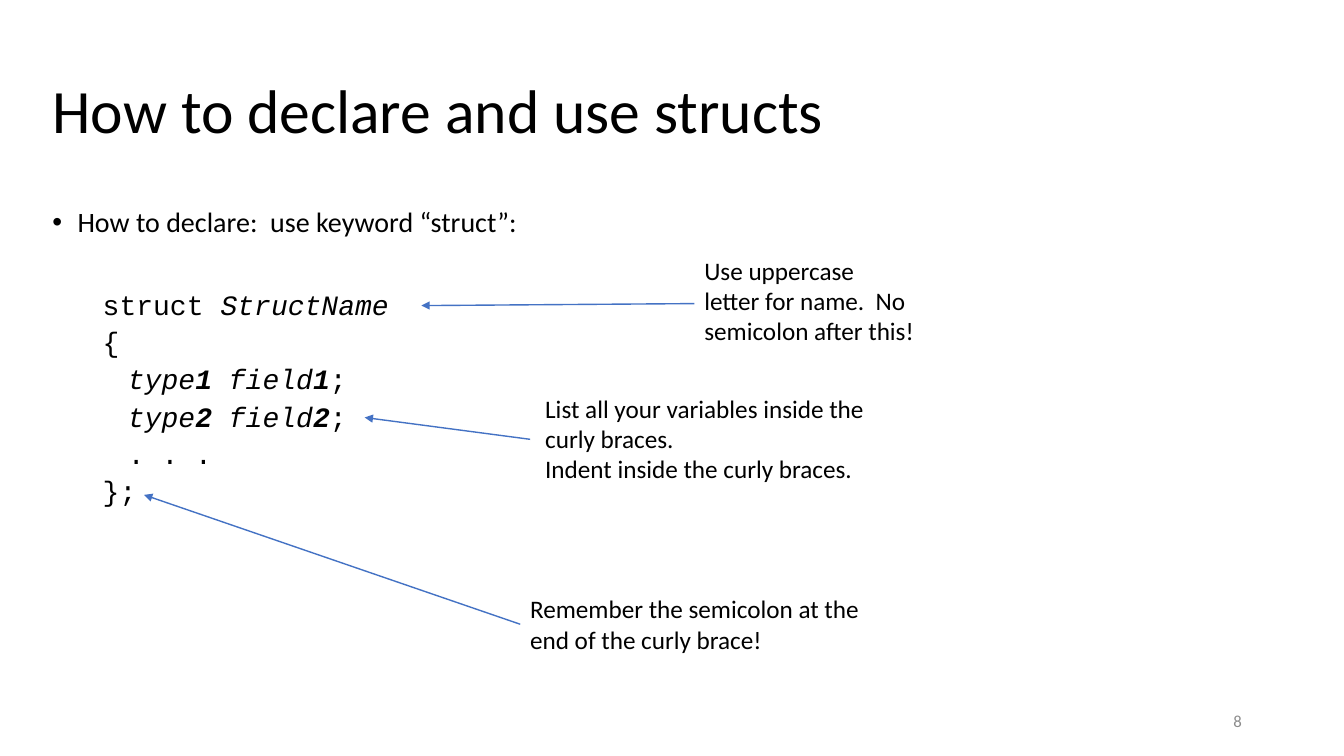
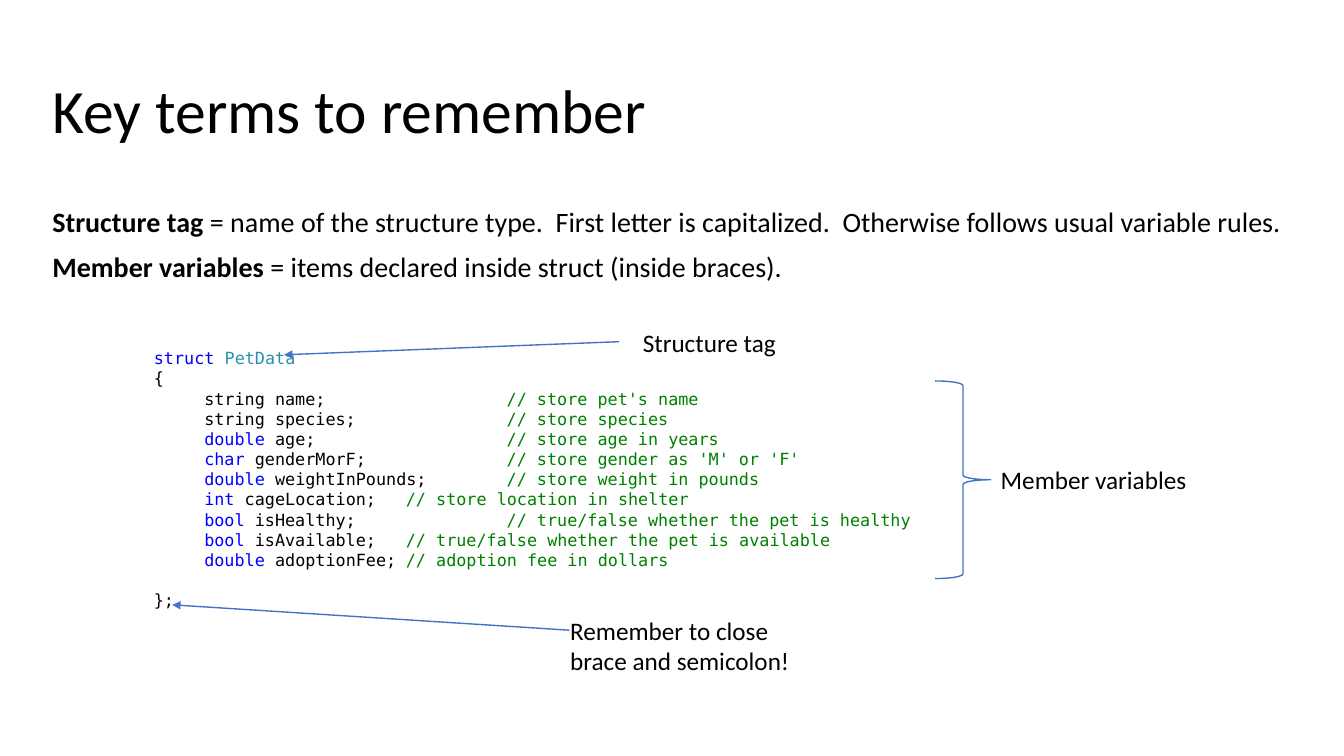
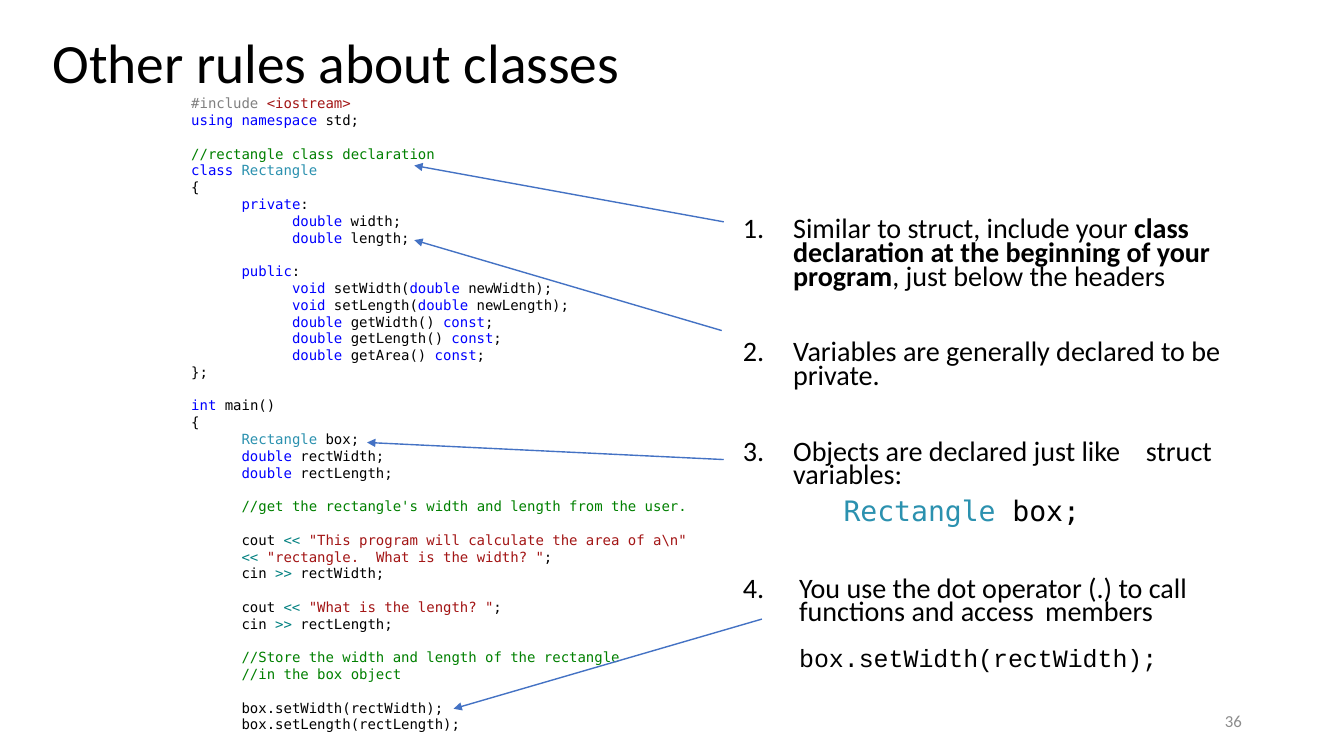
from dataclasses import dataclass
from functools import partial
from typing import Optional

from lxml.etree import SubElement
from pptx import Presentation
from pptx.dml.color import RGBColor
from pptx.enum.shapes import MSO_CONNECTOR as Connector, MSO_SHAPE as Preset
from pptx.enum.text import MSO_ANCHOR as Anchor, MSO_AUTO_SIZE as AutoSize, PP_ALIGN as Align
from pptx.oxml.ns import qn
from pptx.util import Cm, Pt

SANS, COURIER, MONO = "Calibri", "Courier New", "DejaVu Sans Mono"
BLACK, GRAY, ACCENT = "000000", "8C8C8C", "4472C4"
TITLE_ONLY = 5
INDENT = 1.27  # one code or list level, in cm
CODE_LEADING = 1.2


@dataclass(frozen=True)
class Frame:
    left: float
    top: float
    width: float
    height: float

    def lengths(self) -> tuple:
        return Cm(self.left), Cm(self.top), Cm(self.width), Cm(self.height)


@dataclass(frozen=True)
class Span:
    text: str
    size: Optional[float] = None
    font: Optional[str] = None
    color: str = BLACK
    bold: bool = False
    italic: bool = False


@dataclass(frozen=True)
class Para:
    """Points for size, before and a fixed leading; cm for indent and hang."""
    spans: tuple
    size: float = 18
    font: str = SANS
    before: float = 0
    spacing: Optional[float] = None
    leading: Optional[float] = None
    indent: float = 0
    hang: float = 0
    bullet: str = ""
    number: int = 0
    align: Align = Align.LEFT


@dataclass(frozen=True)
class CodeLine:
    level: int
    spans: tuple
    gap: bool = False


@dataclass(frozen=True)
class Arrow:
    start: tuple
    end: tuple


TITLE = Frame(1.07, 1.02, 31.75, 3.68)
LOW_TITLE = Frame(1.07, 1.02, 31.75, 1.24)
BODY = Frame(1.07, 5.13, 31.75, 12.09)
PAGE_NUMBER = Frame(23.93, 17.65, 7.62, 1.02)

plain = Span
bold = partial(Span, bold=True)
italic = partial(Span, italic=True)
strong_italic = partial(Span, bold=True, italic=True)
keyword = partial(Span, color="0000FF")
type_name = partial(Span, color="2B91AF")
comment = partial(Span, color="008000")
literal = partial(Span, color="A31515")
operator = partial(Span, color="008080")
directive = partial(Span, color="808080")


def code(level: int, *spans: Span, gap: bool = False) -> CodeLine:
    """A line of code; gap leaves one line free above it."""
    return CodeLine(level, spans, gap)


def rgb(value: str) -> RGBColor:
    return RGBColor.from_string(value)


def add_span(para, text: str, *, size: float, font: str, color: str = BLACK,
             bold: bool = False, italic: bool = False) -> None:
    run = para.add_run()
    run.text = text
    run.font.size = Pt(size)
    run.font.name = font
    run.font.color.rgb = rgb(color)
    run.font.bold = bold
    run.font.italic = italic


def fill_para(para, content: Para) -> None:
    para.alignment = content.align
    para.space_before = Pt(content.before)
    if content.leading:
        para.line_spacing = Pt(content.leading)
    elif content.spacing:
        para.line_spacing = content.spacing
    properties = para._p.get_or_add_pPr()
    properties.set("marL", str(Cm(content.indent)))
    properties.set("indent", str(-Cm(content.hang)))
    properties.set("defTabSz", str(Cm(2 * INDENT)))
    if content.bullet:
        SubElement(properties, qn("a:buFont"), typeface="Arial")
        SubElement(properties, qn("a:buChar"), char=content.bullet)
    elif content.number:
        numbering = SubElement(properties, qn("a:buAutoNum"), type="arabicPeriod")
        if content.number > 1:
            numbering.set("startAt", str(content.number))
    else:
        SubElement(properties, qn("a:buNone"))
    for span in content.spans:
        add_span(para, span.text, size=span.size or content.size,
                 font=span.font or content.font, color=span.color,
                 bold=span.bold, italic=span.italic)


def add_text(page, frame: Frame, paras: list, anchor: Anchor = Anchor.TOP,
             inset_top: float = 0.13):
    box = page.shapes.add_textbox(*frame.lengths())
    text = box.text_frame
    text.word_wrap = True
    text.vertical_anchor = anchor
    text.margin_top = Cm(inset_top)
    for index, content in enumerate(paras):
        fill_para(text.add_paragraph() if index else text.paragraphs[0], content)
    return box


def add_note(page, frame: Frame, *lines: str):
    return add_text(page, frame, [Para((Span(line),)) for line in lines])


def add_code(page, frame: Frame, lines: list, size: float) -> None:
    leading = CODE_LEADING * size
    add_text(page, frame, [
        Para(line.spans, size=size, font=MONO, leading=leading,
             before=leading if line.gap else 0, indent=INDENT * line.level)
        for line in lines])


def add_arrow(page, arrow: Arrow, source=None) -> None:
    """Draw an arrow, joined to the left side of source if one is given."""
    points = [Cm(value) for value in arrow.start + arrow.end]
    line = page.shapes.add_connector(Connector.STRAIGHT, *points)
    if source is not None:
        line.begin_connect(source, 1)
    line.line.color.rgb = rgb(ACCENT)
    line.line.width = Pt(1)
    SubElement(line.line._get_or_add_ln(), qn("a:tailEnd"), type="triangle")
    SubElement(line._element.spPr, qn("a:effectLst"))


def add_page(deck, title: str, frame: Frame = TITLE, size: float = 44, number: str = ""):
    page = deck.slides.add_slide(deck.slide_layouts[TITLE_ONLY])
    heading = page.shapes.title
    heading.left, heading.top, heading.width, heading.height = frame.lengths()
    text = heading.text_frame
    text.auto_size = AutoSize.NONE
    text.word_wrap = True
    text.vertical_anchor = Anchor.MIDDLE
    fill_para(text.paragraphs[0], Para((Span(title),), size=size, spacing=0.9))
    if number:
        add_text(page, PAGE_NUMBER,
                 [Para((Span(number, color=GRAY),), size=12, align=Align.RIGHT)],
                 anchor=Anchor.MIDDLE)
    return page


def build_declaration(deck) -> None:
    page = add_page(deck, "How to declare and use structs", number="8")
    outer = partial(Para, size=20, font=COURIER, before=5, leading=21.6, indent=INDENT)
    inner = partial(outer, indent=1.5 * INDENT)

    def field(digit: str) -> Para:
        return inner((italic("type"), strong_italic(digit), italic(" field"),
                      strong_italic(digit), plain(";")))

    add_text(page, BODY, [
        Para((plain("How to declare:  use keyword “struct”:"),), size=20, spacing=0.9,
             before=10, indent=INDENT / 2, hang=INDENT / 2, bullet="•"),
        outer((plain("struct "), italic("StructName")), before=37),
        outer((plain("{"),)),
        field("1"),
        field("2"),
        inner((plain(". . ."),)),
        outer((plain("};"),)),
    ])
    add_note(page, Frame(17.5, 6.3, 5.79, 3.33),
             "Use uppercase letter for name.  No semicolon after this!")
    reminder = add_note(page, Frame(13.11, 14.83, 9.83, 1.8),
                        "Remember the semicolon at the end of the curly brace!")
    add_note(page, Frame(13.49, 9.78, 9.83, 2.57),
             "List all your variables inside the curly braces.",
             "Indent inside the curly braces.")
    add_arrow(page, Arrow((17.5, 7.65), (10.62, 7.7)))
    add_arrow(page, Arrow((13.11, 15.73), (3.63, 12.47)), source=reminder)
    add_arrow(page, Arrow((13.36, 11.07), (9.19, 10.52)))


def build_terms(deck) -> None:
    page = add_page(deck, "Key terms to remember")
    terms = [
        ("Structure tag ", "= name of the structure type.  First letter is capitalized.  "
                           "Otherwise follows usual variable rules."),
        ("Member variables ", "= items declared inside struct (inside braces)."),
    ]
    add_text(page, BODY, [
        Para((bold(term), plain(meaning)), size=20, spacing=0.9, before=10)
        for term, meaning in terms])

    members = [
        ("", "string name;\t\t", "// store pet's name"),
        ("", "string species;\t\t", "// store species"),
        ("double", " age;\t\t", "// store age in years"),
        ("char", " genderMorF;\t\t", "// store gender as 'M' or 'F'"),
        ("double", " weightInPounds;\t", "// store weight in pounds"),
        ("int", " cageLocation;\t", "// store location in shelter"),
        ("bool", " isHealthy;\t\t", "// true/false whether the pet is healthy"),
        ("bool", " isAvailable;\t", "// true/false whether the pet is available"),
        ("double", " adoptionFee;\t", "// adoption fee in dollars"),
    ]
    add_code(page, Frame(3.63, 8.64, 22.1, 6.93), [
        code(0, keyword("struct "), type_name("PetData")),
        code(0, plain("{")),
        *(code(1, *([keyword(kind)] if kind else []), plain(name), comment(remark))
          for kind, name, remark in members),
        code(0, plain("};"), gap=True),
    ], size=12)

    brace = page.shapes.add_shape(Preset.RIGHT_BRACE, *Frame(23.57, 9.6, 1.4, 4.98).lengths())
    brace.shadow.inherit = False
    brace.fill.background()
    brace.line.color.rgb = rgb(ACCENT)
    brace.line.width = Pt(1)

    add_note(page, Frame(24.97, 11.58, 5.59, 1.02), "Member variables")
    add_note(page, Frame(15.95, 8.13, 6.73, 1.02), "Structure tag")
    add_note(page, Frame(14.12, 15.37, 6.73, 1.8), "Remember to close brace and semicolon!")
    add_arrow(page, Arrow((15.6, 8.61), (7.16, 8.94)))
    add_arrow(page, Arrow((14.35, 15.88), (4.34, 15.24)))


RECTANGLE_PROGRAM = [
    code(0, directive("#include "), literal("<iostream>")),
    code(0, keyword("using namespace"), plain(" std;")),
    code(0, comment("//rectangle class declaration"), gap=True),
    code(0, keyword("class "), type_name("Rectangle")),
    code(0, plain("{")),
    code(1, keyword("private"), plain(":")),
    code(2, keyword("double"), plain(" width;")),
    code(2, keyword("double"), plain(" length;")),
    code(1, keyword("public"), plain(":"), gap=True),
    *(code(2, keyword("void "), plain(f"set{name}("), keyword("double "), plain(f"new{name});"))
      for name in ("Width", "Length")),
    *(code(2, keyword("double "), plain(f"get{name}() "), keyword("const"), plain(";"))
      for name in ("Width", "Length", "Area")),
    code(0, plain("};")),
    code(0, keyword("int"), plain(" main()"), gap=True),
    code(0, plain("{")),
    code(1, type_name("Rectangle"), plain(" box;")),
    code(1, keyword("double "), plain("rectWidth;")),
    code(1, keyword("double "), plain("rectLength;")),
    code(1, comment("//get the rectangle's width and length from the user."), gap=True),
    code(1, plain("cout "), operator("<< "),
         literal('"This program will calculate the area of a\\n"'), gap=True),
    code(1, operator("<< "), literal('"rectangle.  What is the width? "'), plain(";")),
    code(1, plain("cin "), operator(">> "), plain("rectWidth;")),
    code(1, plain("cout "), operator("<< "), literal('"What is the length? "'), plain(";"),
         gap=True),
    code(1, plain("cin "), operator(">> "), plain("rectLength;")),
    code(1, comment("//Store the width and length of the rectangle"), gap=True),
    code(1, comment("//in the box object")),
    code(1, plain("box.setWidth(rectWidth);"), gap=True),
    code(1, plain("box.setLength(rectLength);")),
]


def build_class_rules(deck) -> None:
    page = add_page(deck, "Other rules about classes", LOW_TITLE, size=39.6, number="36")
    rule = partial(Para, size=20.1, spacing=0.7, before=37.2, indent=INDENT, hang=INDENT,
                   number=1)
    last_indent = 1.42
    add_text(page, Frame(18.47, 4.45, 13.87, 12.57), [
        rule((plain("Similar to struct, include your "),
              bold("class declaration at the beginning of your program"),
              plain(", just below the headers")), before=0),
        rule((plain("Variables are generally declared to be private."),)),
        rule((plain("Objects are declared just like \tstruct variables:"),)),
        Para((type_name("Rectangle"), plain(" box;")), size=20.1, font=MONO, before=10,
             leading=17, indent=2 * INDENT),
        rule((plain("You use the dot operator (.) to call functions and access \tmembers"),),
             indent=last_indent, hang=last_indent, number=4),
        Para((plain("box.setWidth(rectWidth);"),), size=17.8, font=COURIER, before=18,
             leading=15, indent=last_indent),
    ], inset_top=1.09)
    add_code(page, Frame(4.57, 2.26, 13.36, 16.76), RECTANGLE_PROGRAM, size=10)
    for arrow in (
        Arrow((18.24, 5.59), (10.44, 4.17)),
        Arrow((18.19, 8.33), (10.44, 6.05)),
        Arrow((18.24, 11.58), (9.25, 11.15)),
        Arrow((19.2, 15.6), (11.43, 17.86)),
    ):
        add_arrow(page, arrow)


def main() -> None:
    deck = Presentation()
    deck.slide_width, deck.slide_height = Cm(33.87), Cm(19.05)
    build_declaration(deck)
    build_terms(deck)
    build_class_rules(deck)
    deck.save("out.pptx")


if __name__ == "__main__":
    main()
